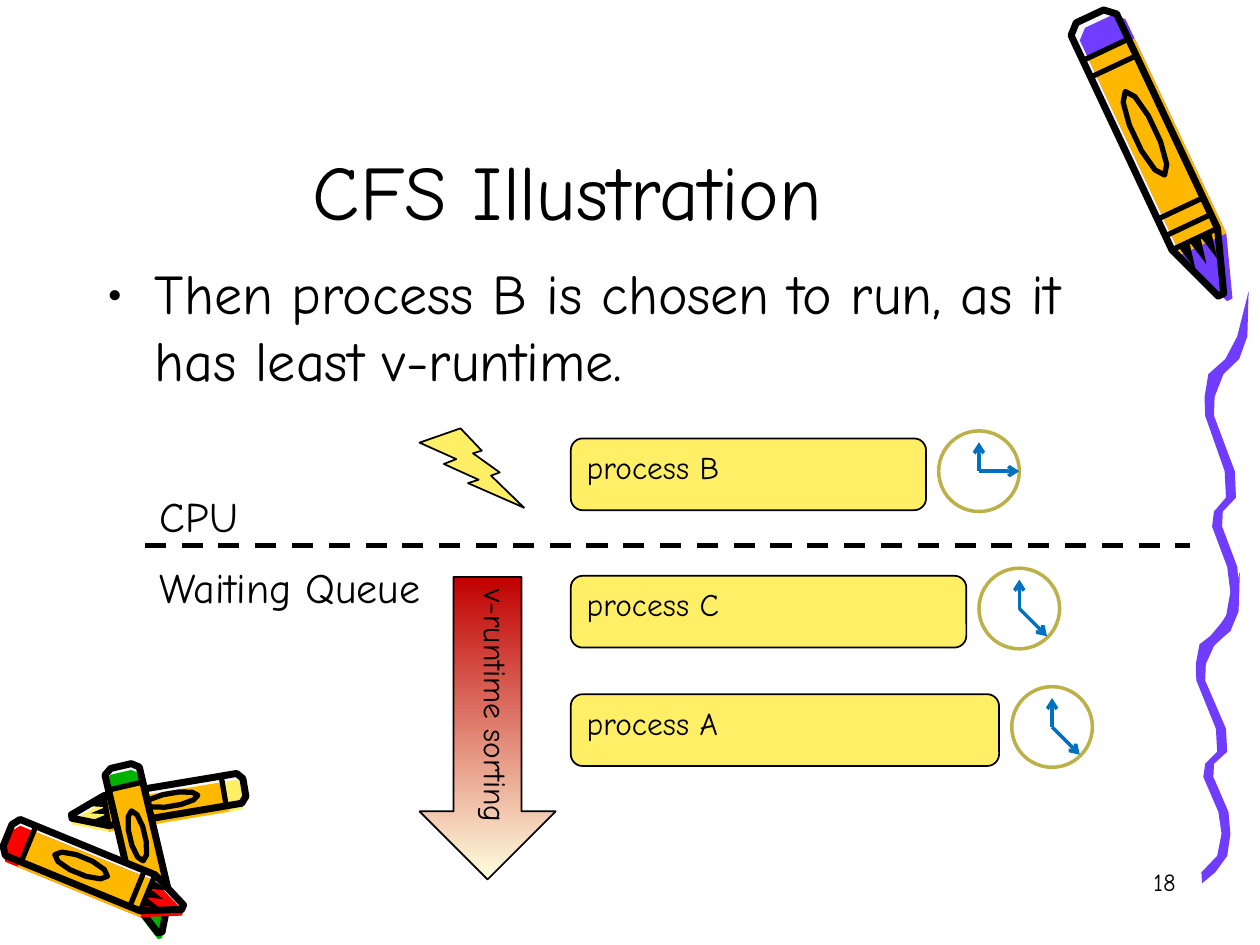
from math import cos, hypot, pi, sin
from typing import NamedTuple

from lxml.etree import SubElement
from pptx import Presentation
from pptx.dml.color import RGBColor
from pptx.enum.dml import MSO_LINE
from pptx.enum.shapes import MSO_CONNECTOR, MSO_SHAPE
from pptx.enum.text import MSO_ANCHOR, PP_ALIGN
from pptx.oxml.ns import qn
from pptx.util import Inches, Pt

FONT = "Comic Neue"
HUES = {
    "black": "000000", "white": "F8F8F8", "violet": "703DFF", "orange": "FFB800",
    "yellow": "FFEF66", "red": "FF0000", "green": "00B200", "gold": "BCB049",
    "blue": "0070C0", "deep": "C00000", "cream": "FFFFDF",
}
Dot = tuple[float, float]


class Crayon(NamedTuple):
    hue: str
    back: Dot  # middle of the blunt end
    tip: Dot
    width: float
    shift: Dot  # colour is printed a little off the ink
    bands: tuple[float, ...]  # places along the length, 0 to 1


class Bend(NamedTuple):
    x: float
    y: float
    width: float


class Job(NamedTuple):
    name: str
    top: float
    width: float
    hand: Dot  # offset of the long hand's tip


CRAYONS = [
    Crayon("violet", (8.65, 0.13), (9.69, 2.34), 0.4, (0.07, 0.04), (0.12, 0.18, 0.69, 0.75)),
    Crayon("yellow", (1.94, 6.25), (0.57, 6.48), 0.24, (0, 0.05), (0.12,)),
    Crayon("green", (0.96, 6.08), (1.27, 7.4), 0.28, (0, 0.05), (0.12,)),
    Crayon("red", (0.06, 6.63), (1.45, 7.2), 0.31, (0, 0.05), (0.12, 0.74)),
]

# Crayon parts as (along, across): along runs 0 to 1, across -0.5 to 0.5
CAP, NECK = 0.1, 0.8
BLUNT = [(0.03, -0.5), (0, -0.3), (0, 0.3), (0.03, 0.5)]
POINT = [(NECK, 0.5), (1, 0.06), (1, -0.06), (NECK, -0.5)]
SLEEVE = [(CAP, -0.5), (CAP, 0.5), (NECK, 0.5), (NECK, -0.5)]
TEETH = [(NECK + (0.09 if i % 2 else 0), 0.36 - 0.12 * i) for i in range(7)]
LABEL = [(0.42 + 0.15 * cos(i * pi / 5), 0.22 * sin(i * pi / 5)) for i in range(10)]

# Ribbon at the right edge, from its top to its end
RIBBON = [
    Bend(9.91, 2.31, 0), Bend(9.86, 2.67, 0.08), Bend(9.78, 2.85, 0.11),
    Bend(9.65, 2.97, 0.12), Bend(9.6, 3.15, 0.08), Bend(9.6, 3.3, 0.07),
    Bend(9.76, 3.74, 0.08), Bend(9.77, 3.95, 0.08), Bend(9.67, 4.06, 0.07),
    Bend(9.66, 4.18, 0.08), Bend(9.78, 4.5, 0.08), Bend(9.8, 4.7, 0.07),
    Bend(9.77, 4.9, 0.08), Bend(9.66, 5.05, 0.11), Bend(9.61, 5.15, 0),
]

JOBS = [
    Job("process A", 5.51, 3.4, (0.22, 0.22)),
    Job("process B", 3.48, 2.82, (0.32, 0)),
    Job("process C", 4.57, 3.14, (0.22, 0.22)),
]

deck = Presentation()
deck.slide_width, deck.slide_height = Inches(10), Inches(7.5)
slide = deck.slides.add_slide(deck.slide_layouts[6])
shapes = slide.shapes


def tint(hue: str) -> RGBColor:
    return RGBColor.from_string(HUES[hue])


def style(shape, fill: str | None, edge: str | None = "black", wide: float = 1) -> None:
    shape.shadow.inherit = False
    if fill:
        shape.fill.solid()
        shape.fill.fore_color.rgb = tint(fill)
    else:
        shape.fill.background()
    if edge:
        shape.line.color.rgb = tint(edge)
        shape.line.width = Pt(wide)
    else:
        shape.line.fill.background()


def trace(dots: list[Dot], fill: str | None, edge: str | None = None, wide: float = 1) -> None:
    """Draw a closed outline."""
    first, *rest = [(Inches(x), Inches(y)) for x, y in dots]
    pen = shapes.build_freeform(*first)
    pen.add_line_segments(rest, close=True)
    style(pen.convert_to_shape(), fill, edge, wide)


def rule(start: Dot, end: Dot, hue: str, wide: float, head: bool = False):
    line = shapes.add_connector(MSO_CONNECTOR.STRAIGHT, *map(Inches, start + end))
    line.line.color.rgb = tint(hue)
    line.line.width = Pt(wide)
    if head:
        SubElement(line.line._get_or_add_ln(), qn("a:tailEnd"), type="arrow")
    SubElement(line._element.spPr, qn("a:effectLst"))
    return line


def sketch(cray: Crayon) -> None:
    """Draw a crayon: white base, shifted colour, then ink."""
    (x, y), (dx, dy) = cray.back, (cray.tip[0] - cray.back[0], cray.tip[1] - cray.back[1])
    scale = cray.width / hypot(dx, dy)

    def place(part: list[Dot], shift: Dot = (0, 0)) -> list[Dot]:
        return [(x + dx * u - dy * v * scale + shift[0], y + dy * u + dx * v * scale + shift[1]) for u, v in part]

    shell = BLUNT + POINT
    trace(place(shell), "white")
    trace(place(shell, cray.shift), cray.hue)
    trace(place(SLEEVE, cray.shift), "orange")
    trace(place(shell), None, "black", 4)
    trace(place(TEETH), "black")
    trace(place(LABEL), None, "black", 3)
    for band in cray.bands + (NECK,):
        rule(*place([(band, -0.5), (band, 0.5)]), "black", 3)


def wave(bends: list[Bend], dx: float = 0, base: float = 0, ratio: float = 1) -> None:
    """Draw a ribbon, moved by dx and stretched in height: base + y * ratio."""
    left, right = ([(b.x + dx + side * b.width / 2, base + b.y * ratio) for b in bends] for side in (-1, 1))
    trace(left + right[::-1], "violet")


def write(shape, text: str, size: float, align=PP_ALIGN.LEFT, anchor=MSO_ANCHOR.TOP, gap: float = 0, wrap: bool = True):
    frame = shape.text_frame
    frame.text = text
    frame.word_wrap = wrap
    frame.vertical_anchor = anchor
    for para in frame.paragraphs:
        para.alignment = align
        para.space_before = Pt(gap)
        for run in para.runs:
            run.font.name, run.font.size = FONT, Pt(size)
            run.font.color.rgb = tint("black")
    return frame


def box(x: float, y: float, w: float, h: float):
    return shapes.add_textbox(*map(Inches, (x, y, w, h)))


def form(kind, x: float, y: float, w: float, h: float, fill: str | None, edge: str = "black", wide: float = 1):
    shape = shapes.add_shape(kind, *map(Inches, (x, y, w, h)))
    style(shape, fill, edge, wide)
    return shape


def draw(job: Job) -> None:
    """Draw a process bar with its clock."""
    left, size = 4.53, 0.64
    x, y = left + job.width + 0.1, job.top - 0.06
    form(MSO_SHAPE.OVAL, x, y, size, size, None, "gold", 2)
    mid = (x + size / 2, y + size / 2)
    for dx, dy in ((0, -0.23), job.hand):
        rule(mid, (mid[0] + dx, mid[1] + dy), "blue", 2, head=True)
    bar = form(MSO_SHAPE.ROUNDED_RECTANGLE, left, job.top, job.width, 0.57, "yellow")
    write(bar, job.name, 18)


# Decoration
for cray in CRAYONS:
    sketch(cray)
wave(RIBBON, dx=-0.07, base=2.53, ratio=0.87)
wave(RIBBON)

# Bullet and title
body = write(box(0.75, 2, 8.42, 4), "Then process B is chosen to run, as it has least v-runtime.", 32, gap=8)
props = body.paragraphs[0]._p.get_or_add_pPr()
props.set("marL", str(Inches(0.38)))
props.set("indent", str(-Inches(0.38)))
SubElement(props, qn("a:buFont"), typeface=FONT)
SubElement(props, qn("a:buChar"), char="•")
write(box(0.75, 0.17, 7.51, 1.75), "CFS Illustration", 44, PP_ALIGN.CENTER, MSO_ANCHOR.BOTTOM)

# Processes
for job in JOBS:
    draw(job)

# Sorting arrow
arrow = form(MSO_SHAPE.DOWN_ARROW, 3.33, 4.58, 1.08, 2.4, None)
arrow.fill.gradient()
arrow.fill.gradient_angle = 270
for stop, hue in zip(arrow.fill.gradient_stops, ("deep", "cream")):
    stop.color.rgb = tint(hue)
sort = write(arrow, "v-runtime sorting", 18)
sort.margin_left = sort.margin_right = Inches(0.05)
sort.margin_top = sort.margin_bottom = Inches(0.1)
sort._txBody.bodyPr.set("vert", "eaVert")

# Border between CPU and queue
edge = rule((1.17, 4.33), (9.42, 4.33), "black", 3).line
edge.dash_style = MSO_LINE.DASH
edge._get_or_add_ln().set("cap", "sq")
write(box(1.17, 3.84, 2.29, 1.07), "CPU\nWaiting Queue", 24, gap=12, wrap=False)
form(MSO_SHAPE.LIGHTNING_BOLT, 3.33, 3.4, 0.83, 0.63, "yellow")

# Slide number
write(box(7.35, 6.83, 2.08, 0.5), "18", 14, PP_ALIGN.RIGHT)

deck.save("out.pptx")
